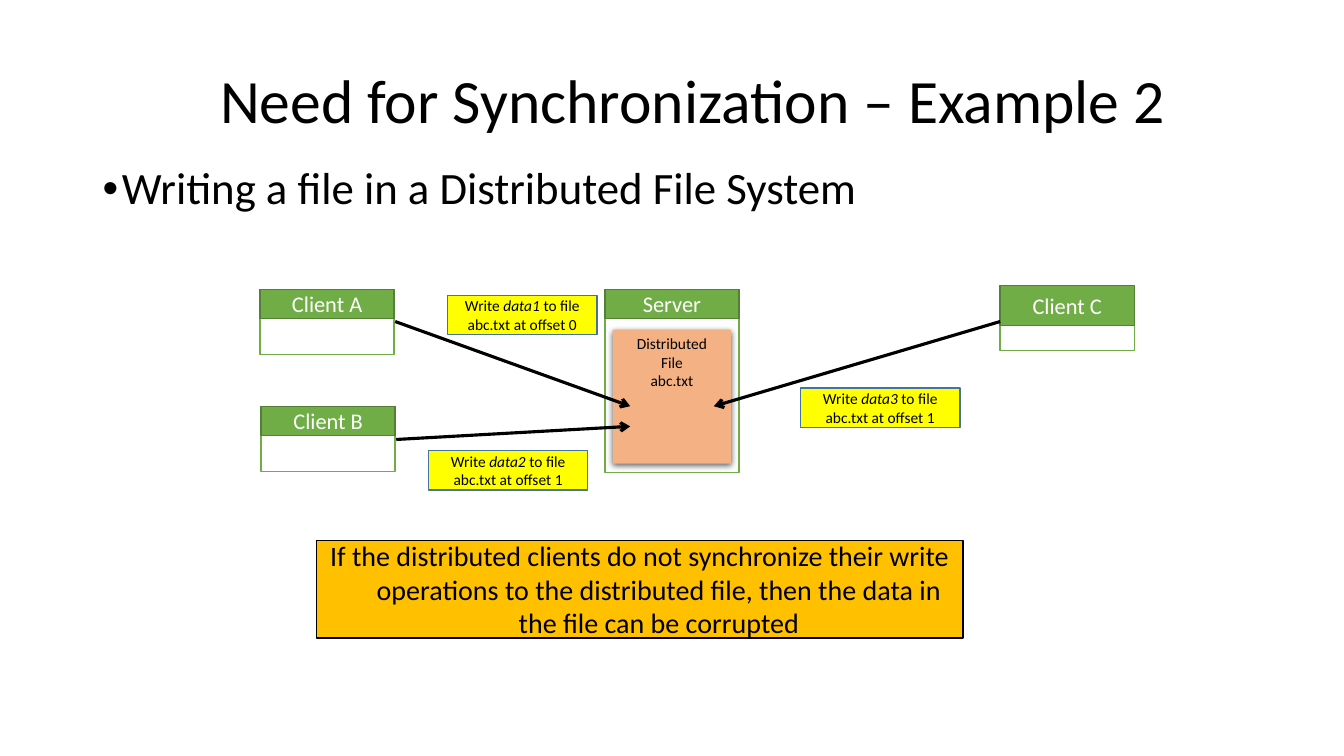
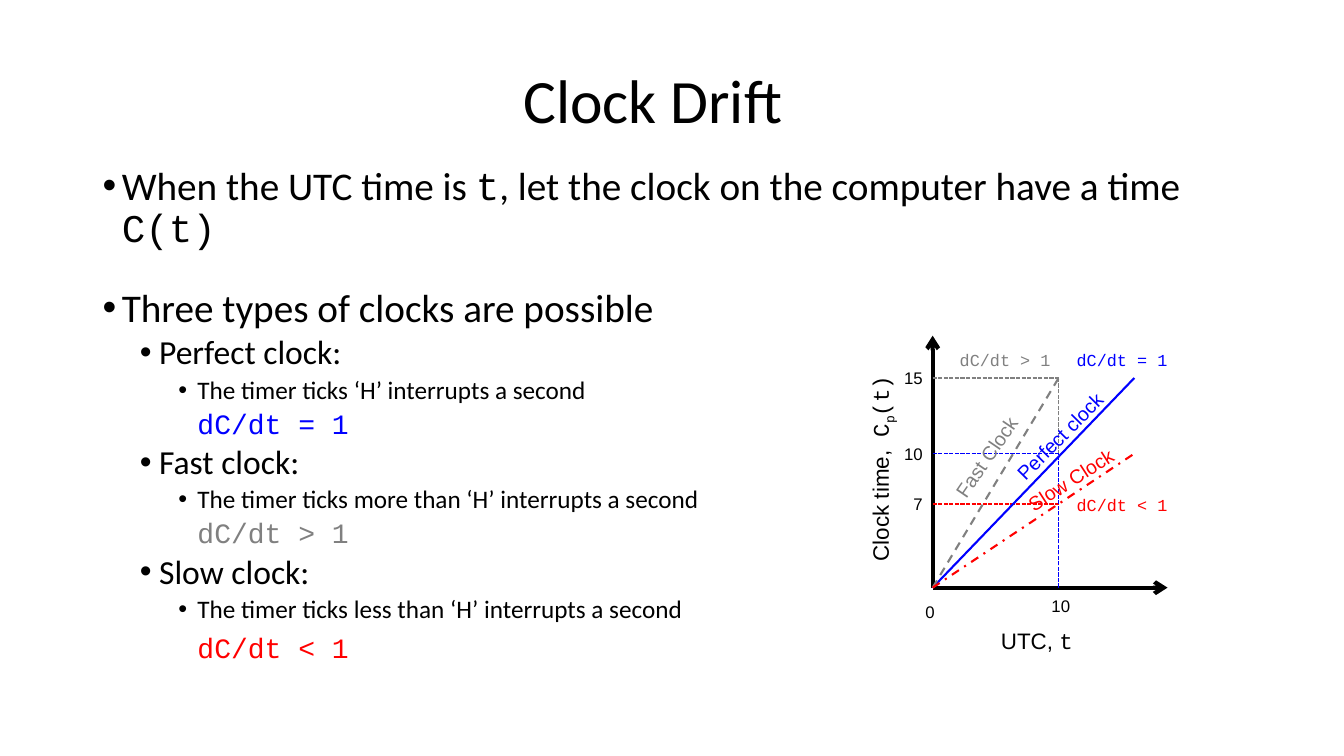
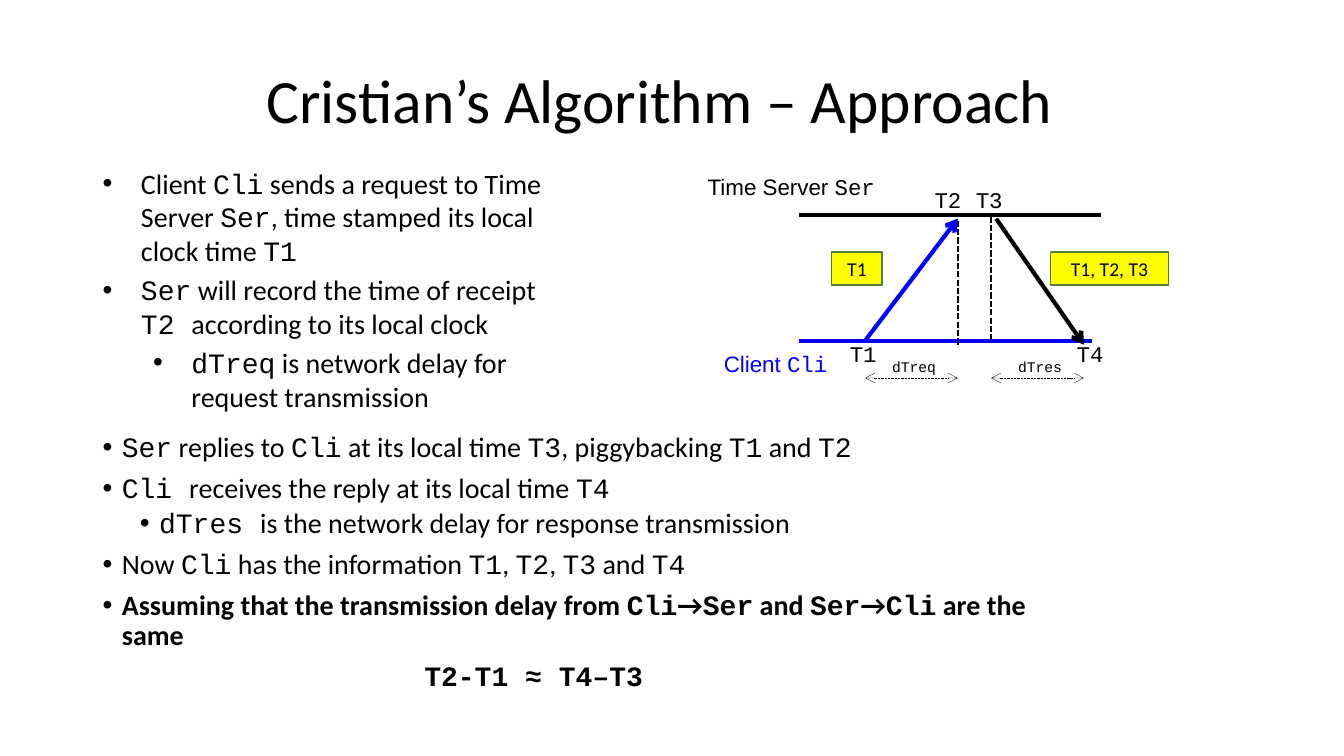
import pptx
import pptx.util
import pptx.dml.color
import pptx.enum.dml
import pptx.enum.shapes
import pptx.enum.text
import pptx.oxml
import pptx.oxml.ns

Inches = pptx.util.Inches
Pt = pptx.util.Pt
ALIGN = pptx.enum.text.PP_ALIGN
ANCHOR = pptx.enum.text.MSO_ANCHOR
DASH = pptx.enum.dml.MSO_LINE
SHAPE = pptx.enum.shapes.MSO_SHAPE
qn = pptx.oxml.ns.qn

BLACK, WHITE, GRAY = "000000", "FFFFFF", "808080"
BLUE, RED, YELLOW, AMBER = "0000FF", "FF0000", "FFFF00", "FFC000"
GREEN, DARK_GREEN, STEEL, PEACH = "70AD47", "538035", "43739E", "F4B183"
BODY, LABEL, CODE = "Calibri", "Arial", "Courier New"
MARKS = {"`": {"name": CODE}, "*": {"italic": True}, "~": {}}

TITLE_HEIGHT = 1.45
BODY_LEFT, BODY_TOP = 0.92, 1.6
HANG = 0.19
LEVELS = [(0.19, 7.5), (0.56, 3.8), (0.94, 3.8)]


def color(value):
    return pptx.dml.color.RGBColor.from_string(value)


def assign(target, values):
    for name, value in values.items():
        setattr(target, name, value)


def add_node(parent, markup):
    node = pptx.oxml.parse_xml(markup.replace(
        " ", ' xmlns:a="http://schemas.openxmlformats.org/drawingml/2006/main" ', 1))
    parent.append(node)


def add_spans(para, text, size, font, ink, bold=False):
    active, piece = set(), ""

    def flush():
        if not piece:
            return
        span = para.add_run()
        span.text = piece
        values = {"name": font, "size": Pt(size), "bold": bold}
        for mark in active:
            values.update(MARKS[mark])
        assign(span.font, values)
        span.font.color.rgb = color(ink)
        if "~" in active:
            span._r.get_or_add_rPr().set("baseline", "-25000")

    for letter in text:
        if letter in MARKS:
            flush()
            piece = ""
            active ^= {letter}
        else:
            piece += letter
    flush()


def write(frame, lines, size, font=BODY, ink=BLACK, align=ALIGN.LEFT,
          anchor=ANCHOR.TOP, spacing=None):
    assign(frame, {"word_wrap": True, "vertical_anchor": anchor})
    for index, line in enumerate(lines):
        para = frame.paragraphs[0] if index == 0 else frame.add_paragraph()
        assign(para, {"alignment": align, "line_spacing": spacing})
        add_spans(para, line, size, font, ink)


def set_indent(para, margin, indent, bullet):
    props = para._p.get_or_add_pPr()
    props.set("marL", str(Inches(margin)))
    props.set("indent", str(Inches(indent)))
    if bullet:
        add_node(props, '<a:buFont typeface="Arial"/>')
        add_node(props, '<a:buChar char="•"/>')


def add_box(page, left, top, width, height, fill, edge=None):
    box = page.shapes.add_shape(
        SHAPE.RECTANGLE, Inches(left), Inches(top), Inches(width), Inches(height))
    box.shadow.inherit = False
    box.fill.solid()
    box.fill.fore_color.rgb = color(fill)
    if edge:
        box.line.color.rgb = color(edge)
        box.line.width = Pt(1)
    else:
        box.line.fill.background()
    return box


def add_text(page, left, top, width, height, lines, size, **look):
    box = page.shapes.add_textbox(
        Inches(left), Inches(top), Inches(width), Inches(height))
    write(box.text_frame, lines, size, **look)
    return box


def add_tag(page, left, top, width, height, text, size, fill=YELLOW, edge=STEEL, ink=BLACK):
    box = add_box(page, left, top, width, height, fill, edge)
    write(box.text_frame, [text], size, ink=ink, align=ALIGN.CENTER, anchor=ANCHOR.MIDDLE)
    return box


def add_line(page, start, end, ink, width, dash=None, ends=()):
    line = page.shapes.add_connector(
        pptx.enum.shapes.MSO_CONNECTOR.STRAIGHT,
        *(Inches(value) for value in (*start, *end)))
    line.line.color.rgb = color(ink)
    assign(line.line, {"width": Pt(width), "dash_style": dash})
    props = line._element.spPr
    for end_name in ends:
        add_node(props.find(qn("a:ln")), f'<a:{end_name} type="arrow"/>')
    add_node(props, "<a:effectLst />")


def add_title(page, text, left=1.92, width=9.25):
    add_text(page, left, 0.3, width, TITLE_HEIGHT, [text], 44, align=ALIGN.CENTER,
             anchor=ANCHOR.MIDDLE, spacing=0.9)


def add_outline(page, left, top, width, height, items):
    frame = page.shapes.add_textbox(
        Inches(left), Inches(top), Inches(width), Inches(height)).text_frame
    frame.word_wrap = True
    for index, (level, text, size, extra) in enumerate(items):
        para = frame.paragraphs[0] if index == 0 else frame.add_paragraph()
        look = {"bullet": True, "margin": LEVELS[level][0], "hang": HANG,
                "before": LEVELS[level][1], "spacing": 0.9, "ink": BLACK, "bold": False}
        look.update(extra)
        assign(para, {"space_before": Pt(look["before"]), "line_spacing": look["spacing"]})
        set_indent(para, look["margin"], -look["hang"] if look["bullet"] else 0, look["bullet"])
        add_spans(para, text, size, BODY, look["ink"], look["bold"])


def add_machine(page, left, top, name, height=0.65, header=0.29):
    add_box(page, left, top, 1.33, height, WHITE, GREEN)
    add_tag(page, left, top, 1.33, header, name, 16, GREEN, DARK_GREEN, WHITE)


def add_shared_file(page, left, top):
    box = add_box(page, left, top, 1.17, 1.33, PEACH)
    write(box.text_frame, ["Distributed", "File", "abc.txt"], 11, align=ALIGN.CENTER)
    effects = box._element.spPr.find(qn("a:effectLst"))
    add_node(effects, f'<a:outerShdw blurRad="{Pt(4.5)}" dist="{Pt(1.5)}" dir="5400000" '
             'rotWithShape="0"><a:srgbClr val="000000"><a:alpha val="63000"/>'
             '</a:srgbClr></a:outerShdw>')


def add_write_diagram(page, left, top):
    add_machine(page, left + 3.42, top + 0.04, "Server", height=1.82)
    add_shared_file(page, left + 3.5, top + 0.44)
    clients = [("Client A", 0, 0.04, 0.29), ("Client B", 0.01, 1.2, 0.29),
               ("Client C", 7.34, 0, 0.4)]
    for name, x, y, header in clients:
        add_machine(page, left + x, top + y, name, header=header)
    requests = [(1, 0, (1.34, 0.36), (3.67, 1.2), (1.86, 0.1, 1.48)),
                (2, 1, (1.35, 1.53), (3.67, 1.4), (1.67, 1.64, 1.58)),
                (3, 1, (7.34, 0.36), (4.5, 1.2), (5.36, 1.02, 1.58))]
    for number, offset, start, end, (x, y, width) in requests:
        add_line(page, (left + start[0], top + start[1]), (left + end[0], top + end[1]),
                 BLACK, 2.25, ends=["tailEnd"])
        add_tag(page, left + x, top + y, width, 0.39,
                f"Write *data{number}* to file abc.txt at offset {offset}", 11)


def add_drift_plot(page, left, base):
    heights = {0: 0, 7: 0.83, 10: 1.33, 15: 2.08}

    def at(x, y):
        return left + x, base - y

    def label(x, y, width, height, text, size, ink=BLACK, font=LABEL,
              align=ALIGN.LEFT, turn=0):
        box = add_text(page, left + x, base + y, width, height, [text], size,
                       font=font, ink=ink, align=align)
        box.rotation = turn

    for tip in [(2.33, 0), (0, 2.5)]:
        add_line(page, at(0, 0), at(*tip), BLACK, 3, ends=["tailEnd"])
    for value, ink in [(15, GRAY), (7, RED), (10, BLUE)]:
        height = heights[value]
        add_line(page, at(0, height), at(1.25, height), ink, 1, DASH.SQUARE_DOT)
        add_line(page, at(1.25, 0), at(1.25, height), ink, 1, DASH.SQUARE_DOT)
        label(-0.42, -height - 0.15, 0.42, 0.3, str(value), 12, align=ALIGN.RIGHT)
    clocks = [
        ("Perfect clock", BLUE, 2, 15, None, (0.59, -1.71), 314.7, "=", (1.33, -2.41)),
        ("Fast Clock", GRAY, 1.25, 15, DASH.DASH, (-0.09, -1.59), 304.4, ">", (0.17, -2.41)),
        ("Slow Clock", RED, 2, 10, DASH.DASH_DOT, (0.77, -1.31), 327.2, "<", (1.33, -0.97)),
    ]
    for name, ink, x, value, dash, spot, turn, sign, rate in clocks:
        add_line(page, at(0, 0), at(x, heights[value]), ink, 1.5, dash)
        label(*spot, 1.42, 0.34, name, 14, ink, turn=turn)
        label(*rate, 1.12, 0.3, f"dC/dt {sign} 1", 12, ink, font=CODE)
    label(0.58, 0.34, 1, 0.37, "UTC, `t`", 16)
    label(-1.56, -1.39, 2.08, 0.37, "Clock time,` C~p~(t)`", 16, turn=270)
    label(1.08, 0.03, 0.42, 0.3, "10", 12)
    label(-0.17, 0.09, 0.33, 0.3, "0", 12)


def add_message_diagram(page, left, top):
    def line(start, end, ink, width, dash=None, ends=()):
        add_line(page, (left + start[0], top + start[1]),
                 (left + end[0], top + end[1]), ink, width, dash, ends)

    line((1, 0.46), (4, 0.46), BLACK, 3)
    line((1, 1.71), (3.91, 1.71), BLUE, 3)
    line((1.66, 1.71), (2.58, 0.5), BLUE, 3, ends=["tailEnd"])
    line((2.96, 0.5), (3.83, 1.75), BLACK, 3, ends=["tailEnd"])
    line((2.91, 1.71), (2.91, 0.46), BLACK, 1.5, DASH.SQUARE_DOT)
    line((2.58, 1.75), (2.58, 0.5), BLACK, 1.5, DASH.SQUARE_DOT)
    add_text(page, left, top, 1.92, 0.37, ["Time Server `Ser`"], 16, font=LABEL)
    add_text(page, left + 0.16, top + 1.75, 1.25, 0.37, ["Client `Cli`"], 16,
             font=LABEL, ink=BLUE)
    for name, x, y in [("T1", 1.41, 1.66), ("T2", 2.25, 0.13),
                       ("T3", 2.66, 0.13), ("T4", 3.66, 1.66)]:
        add_text(page, left + x, top + y, 0.58, 0.37, [name], 16, font=CODE)
    for text, x, width in [("T1", 1.33, 0.5), ("T1, T2, T3", 3.5, 1.17)]:
        add_tag(page, left + x, top + 0.83, width, 0.33, text, 14, edge=DARK_GREEN)
    for name, x in [("dTreq", 1.66), ("dTres", 2.91)]:
        add_text(page, left + x + 0.17, top + 1.83, 0.67, 0.28, [name], 10.5, font=CODE)
        line((x + 0.92, 2.08), (x, 2.08), BLACK, 0.25, DASH.SQUARE_DOT,
             ["headEnd", "tailEnd"])


def build_write_page(page):
    add_title(page, "Need for Synchronization – Example 2", 1.5, 10.75)
    add_outline(page, BODY_LEFT, BODY_TOP, 11.16, 4.95,
                [(0, "Writing a file in a Distributed File System", 32, {})])
    add_write_diagram(page, 2.58, 2.83)
    warning = add_tag(
        page, 3.14, 5.36, 6.41, 0.97,
        "If the distributed clients do not synchronize their write operations to the "
        "distributed file, then the data in the file can be corrupted", 20, AMBER, BLACK)
    set_indent(warning.text_frame.paragraphs[0], 0.38, -0.38, False)


def build_drift_page(page):
    add_title(page, "Clock Drift ")
    items = [
        (0, "When the UTC time is `t`, let the clock on the computer have a time `C(t)`", 28, {}),
        (0, "Three types of clocks are possible", 28, {"before": 26.6})]
    for name, pace, sign, ink, before in [("Perfect", "", "=", BLUE, 3.8),
                                          ("Fast", "more than ", ">", GRAY, 3.8),
                                          ("Slow", "less than ", "<", RED, 7.5)]:
        items += [(1, f"{name} clock:", 24, {}),
                  (2, f"The timer ticks {pace}‘H’ interrupts a second", 18, {}),
                  (2, f"`dC/dt {sign} 1`", 20, {"bullet": False, "ink": ink, "before": before})]
    add_outline(page, BODY_LEFT, BODY_TOP, 11.16, 4.95, items)
    add_drift_plot(page, 9.25, 5.83)


def build_algorithm_page(page):
    add_title(page, "Cristian’s Algorithm – Approach")
    wide = {"margin": 0.38, "hang": 0.38, "before": 4, "spacing": 1.0}
    add_outline(page, BODY_LEFT, BODY_TOP, 4.83, 2.75, [
        (0, "Client `Cli` sends a request to Time Server `Ser`, "
            "time stamped its local clock time `T1`", 20, wide),
        (0, "`Ser` will record the time of receipt `T2 `according to its local clock", 20, wide),
        (1, "`dTreq` is network delay for request transmission", 20, {**wide, "margin": 0.88})])
    add_outline(page, BODY_LEFT, 4.25, 9.5, 2.83, [
        (0, "`Ser` replies to `Cli` at its local time `T3`, piggybacking `T1` and `T2`", 20, {}),
        (0, "`Cli `receives the reply at its local time `T4`", 20, {}),
        (1, "`dTres `is the network delay for response transmission", 20, {}),
        (0, "Now `Cli` has the information `T1`, `T2`, `T3` and `T4`", 20, {}),
        (0, "Assuming that the transmission delay from `Cli`→`Ser` and `Ser`→`Cli` "
            "are the same", 20, {"bold": True}),
        (0, "`T2-T1 ≈ T4–T3`", 20, {"bold": True, "bullet": False, "margin": 3.19})])
    add_message_diagram(page, 6.92, 1.67)


def main():
    deck = pptx.Presentation()
    assign(deck, {"slide_width": Inches(13.33), "slide_height": Inches(7.5)})
    for build in (build_write_page, build_drift_page, build_algorithm_page):
        build(deck.slides.add_slide(deck.slide_layouts[6]))
    deck.save("out.pptx")


if __name__ == "__main__":
    main()
